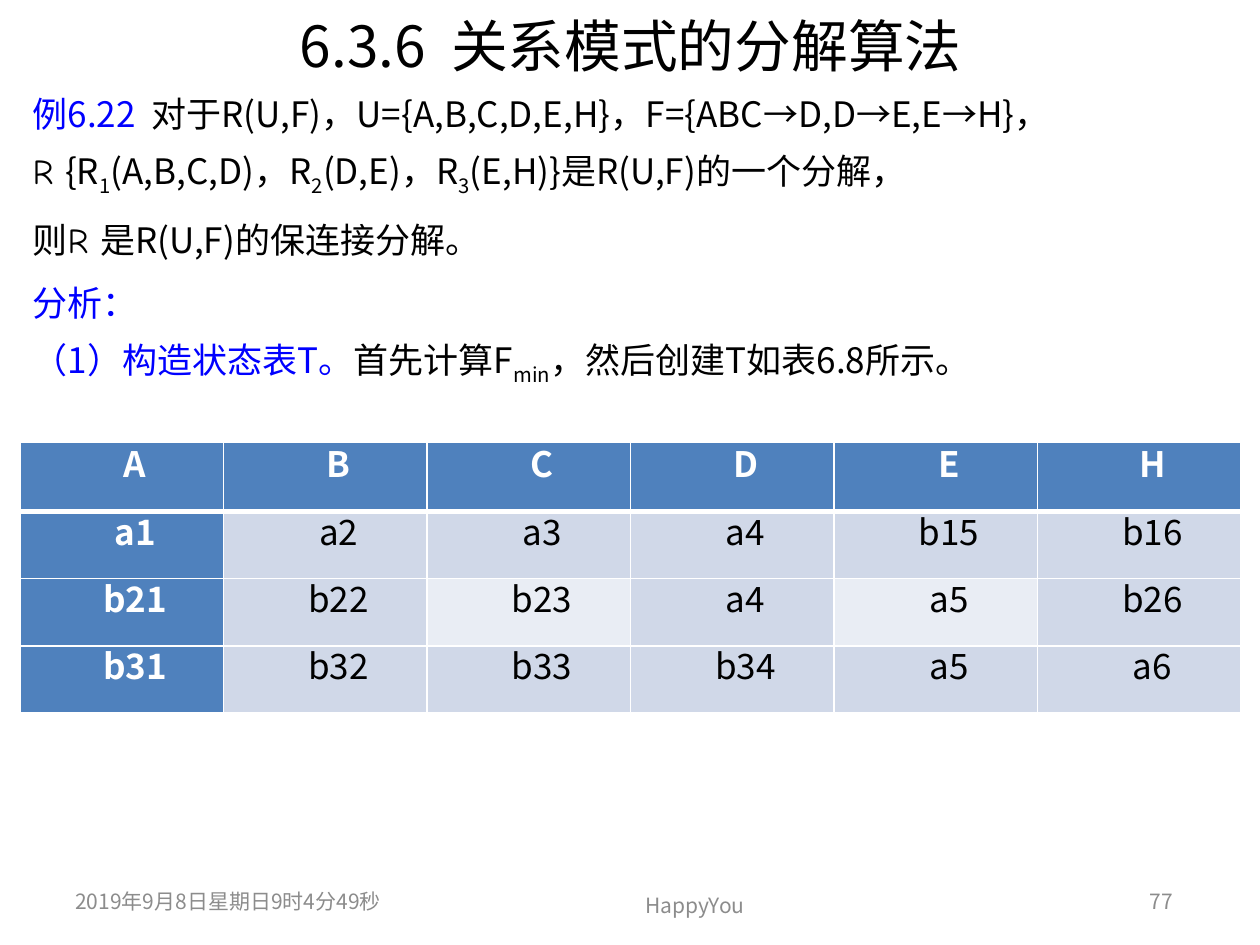
from dataclasses import dataclass

import pptx
import pptx.dml.color
import pptx.enum.text
import pptx.oxml
import pptx.oxml.ns
import pptx.util
from lxml import etree

Pt = pptx.util.Pt
ALIGN = pptx.enum.text.PP_ALIGN
ANCHOR = pptx.enum.text.MSO_ANCHOR
qn = pptx.oxml.ns.qn

COLORS = {
    "black": "000000", "white": "FFFFFF", "blue": "0000FF", "gray": "8C8C8C",
    "header": "4F81BD", "band": "D0D8E8", "pale": "E9EDF4",
}
SANS = "Noto Sans CJK SC"
COMIC = "Comic Neue"


@dataclass
class Run:
    text: str
    color: str = "black"
    size: float = 20
    font: str = SANS
    bold: bool = False
    sub: bool = False
    spread: float = 0  # extra points after each character


@dataclass
class Box:
    left: float
    top: float
    width: float
    height: float
    paragraphs: list[list[Run]]
    align: ALIGN = ALIGN.LEFT
    anchor: ANCHOR = ANCHOR.MIDDLE
    line: float | None = None


def rgb(name: str) -> pptx.dml.color.RGBColor:
    return pptx.dml.color.RGBColor.from_string(COLORS[name])


def add_run(p, run: Run) -> None:
    r = p.add_run()
    r.text = run.text
    r.font.size = Pt(run.size)
    r.font.bold = run.bold
    r.font.color.rgb = rgb(run.color)
    r.font.name = run.font
    props = r._r.get_or_add_rPr()
    etree.SubElement(props, qn("a:ea")).set("typeface", SANS)
    if run.sub:
        props.set("baseline", "-25000")
    if run.spread:
        props.set("spc", str(round(run.spread * 100)))


def add_box(s, box: Box) -> None:
    sp = s.shapes.add_textbox(Pt(box.left), Pt(box.top), Pt(box.width), Pt(box.height))
    tf = sp.text_frame
    tf.word_wrap = True
    tf.vertical_anchor = box.anchor
    for i, runs in enumerate(box.paragraphs):
        p = tf.add_paragraph() if i else tf.paragraphs[0]
        p.alignment = box.align
        if box.line:
            p.line_spacing = Pt(box.line)
        for run in runs:
            add_run(p, run)


def set_borders(cell, top: float, bottom: float) -> None:
    """Draw white cell borders, 1 pt at the sides."""
    props = cell._tc.get_or_add_tcPr()
    for side, width in (("L", 1), ("R", 1), ("T", top), ("B", bottom)):
        ln = etree.SubElement(props, qn(f"a:ln{side}"), w=str(Pt(width)))
        fill = etree.SubElement(ln, qn("a:solidFill"))
        etree.SubElement(fill, qn("a:srgbClr"), val=COLORS["white"])


def add_state_table(s, rows: list[list[str]], pale: set[tuple[int, int]]) -> None:
    heights = [39.6] + [38.4] * (len(rows) - 1)
    width = 697.68
    frame = s.shapes.add_table(len(rows), len(rows[0]), Pt(11.52), Pt(252.72),
                               Pt(width), Pt(sum(heights)))
    table = frame.table
    for column in table.columns:
        column.width = Pt(width / len(rows[0]))
    for i, row in enumerate(rows):
        table.rows[i].height = Pt(heights[i])
        for j, text in enumerate(row):
            cell = table.cell(i, j)
            heading = i == 0 or j == 0
            set_borders(cell, 3 if i == 1 else 1, 3 if i == 0 else 1)
            cell.fill.solid()
            cell.fill.fore_color.rgb = rgb(
                "header" if heading else "pale" if (i, j) in pale else "band")
            cell.margin_left = cell.margin_right = Pt(1.44)
            cell.margin_top = cell.margin_bottom = Pt(0)
            cell.vertical_anchor = ANCHOR.MIDDLE
            p = cell.text_frame.paragraphs[0]
            p.alignment = ALIGN.CENTER
            p.line_spacing = Pt(12)
            p._p.get_or_add_pPr().set("indent", str(Pt(15.12)))
            add_run(p, Run(text, "white" if heading else "black", bold=heading))


def sub(text: str) -> Run:
    return Run(text, sub=True)


def footer(text: str) -> list[list[Run]]:
    return [[Run(text, "gray", 12)]]


SCRIPT_R = Run("R ", font=COMIC)
BODY = [
    [Run("例6.22", "blue"), Run(" ", "blue", spread=4.5),
     Run("对于R(U,F)，U={A,B,C,D,E,H}，F={ABC→D,D→E,E→H}，")],
    [SCRIPT_R, Run("{R"), sub("1"), Run("(A,B,C,D)，R"), sub("2"),
     Run("(D,E)，R"), sub("3"), Run("(E,H)}是R(U,F)的一个分解，")],
    [Run("则"), SCRIPT_R, Run("是R(U,F)的保连接分解。")],
    [Run("分析：", "blue")],
    [Run("（1）构造状态表T。", "blue"), Run("首先计算F"), sub("min"),
     Run("，然后创建T如表6.8所示。")],
]
TITLE = [[Run("6.3.6", size=32.4), Run(" ", size=32.4, spread=7.25),
          Run("关系模式的分解算法", size=32.4)]]
BOXES = [
    Box(36.72, 9.36, 647.28, 33.12, TITLE, ALIGN.CENTER),
    Box(36, 500.4, 216, 28.8, footer("2019年9月8日星期日9时4分49秒")),
    Box(308.88, 502.56, 176.4, 28.8, footer("HappyYou"), ALIGN.CENTER),
    Box(516.24, 500.4, 161.28, 28.8, footer("77"), ALIGN.RIGHT),
    Box(11.52, 37.44, 697.68, 475.92, BODY, anchor=ANCHOR.TOP, line=36),
]
STATES = [
    ["A", "B", "C", "D", "E", "H"],
    ["a1", "a2", "a3", "a4", "b15", "b16"],
    ["b21", "b22", "b23", "a4", "a5", "b26"],
    ["b31", "b32", "b33", "b34", "a5", "a6"],
]


def main() -> None:
    prs = pptx.Presentation()
    prs.slide_width, prs.slide_height = Pt(720), Pt(540)
    s = prs.slides.add_slide(prs.slide_layouts[6])
    for box in BOXES:
        add_box(s, box)
    add_state_table(s, STATES, pale={(2, 2), (2, 4)})
    prs.save("out.pptx")


if __name__ == "__main__":
    main()
